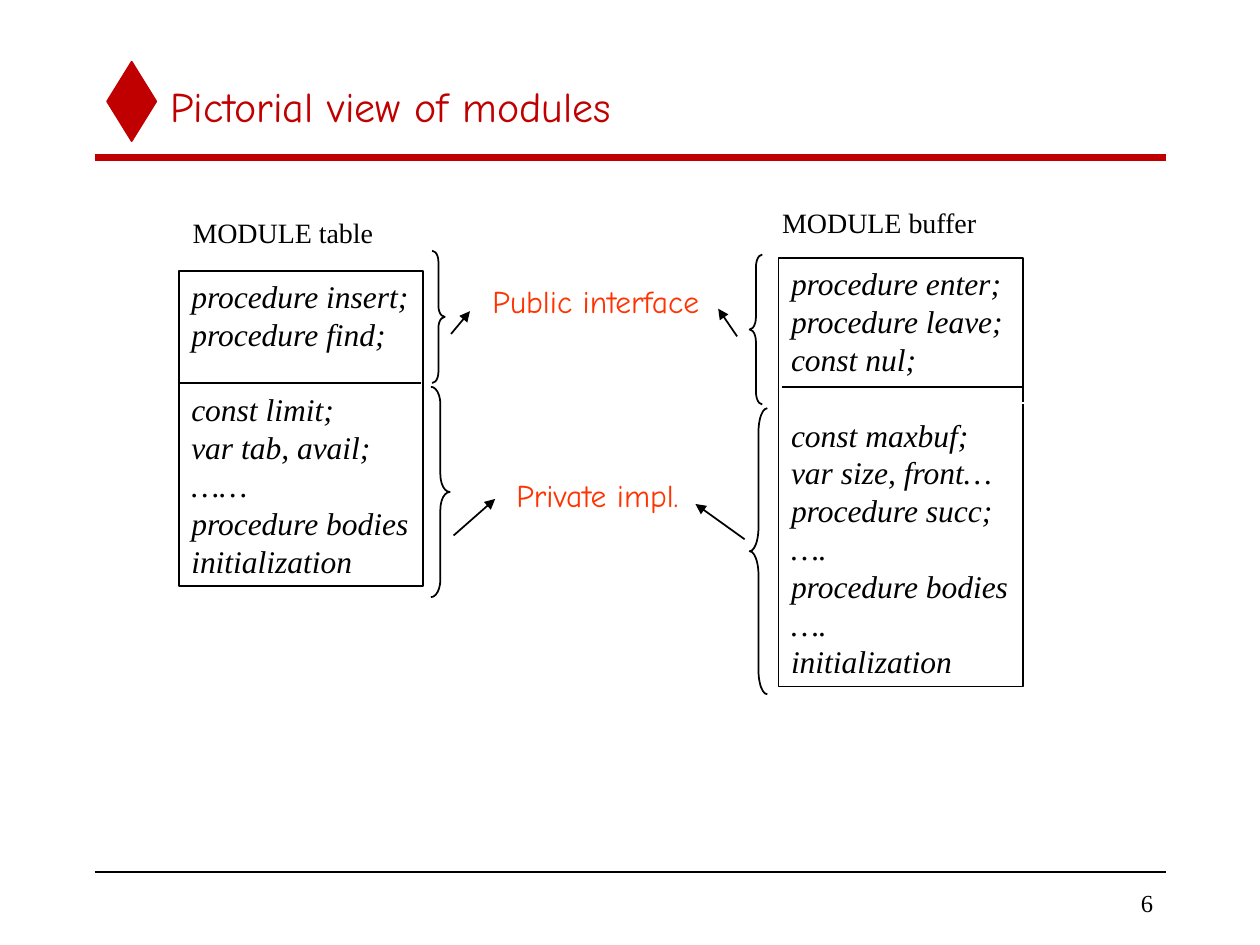
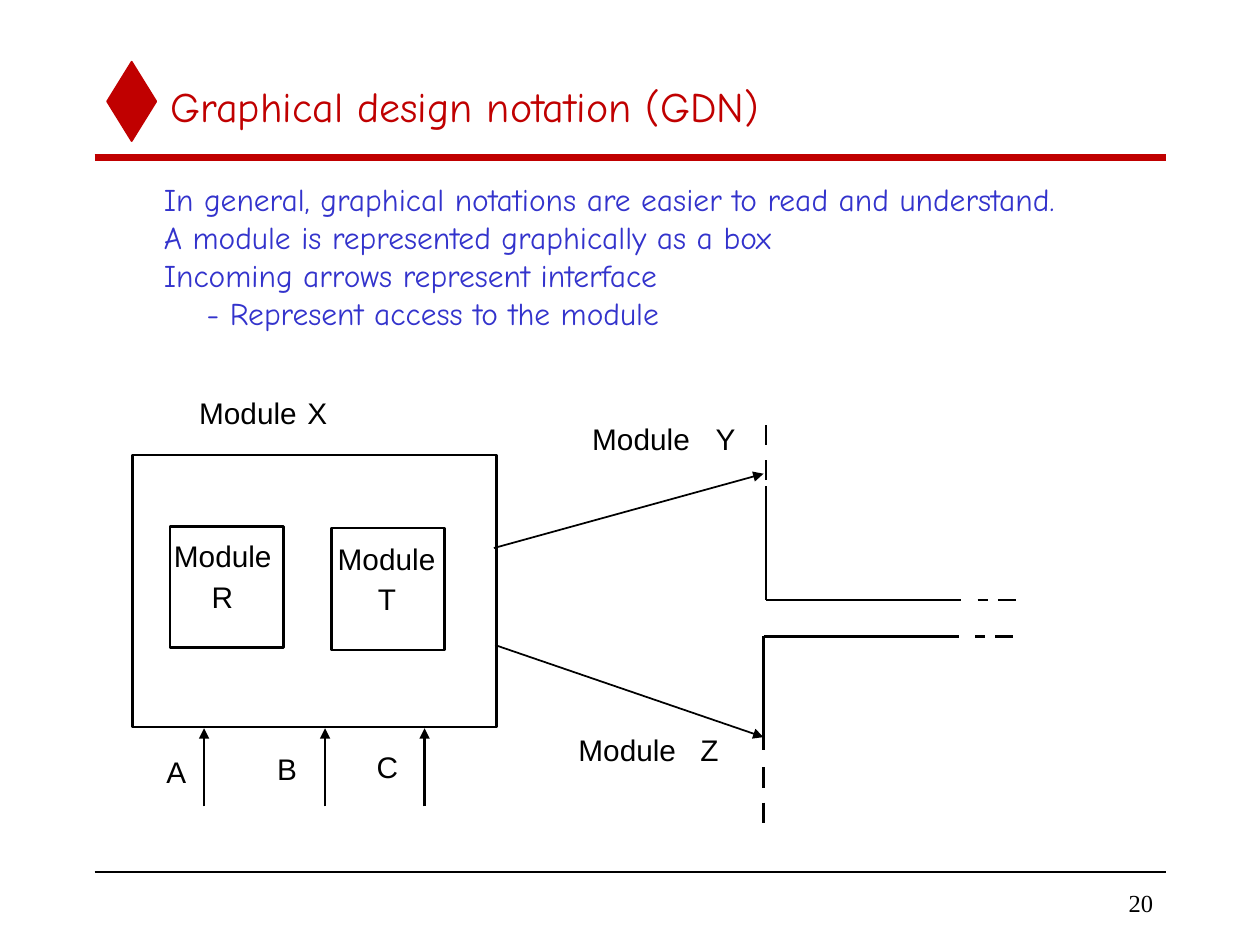
"""Build two slides on modules and their graphical design notation."""
from lxml import etree
from pptx import Presentation
from pptx.dml.color import RGBColor
from pptx.enum.shapes import MSO_CONNECTOR, MSO_SHAPE
from pptx.enum.text import MSO_ANCHOR, MSO_AUTO_SIZE, PP_ALIGN
from pptx.oxml.ns import qn
from pptx.util import Inches, Pt

RED = RGBColor(0xC0, 0x00, 0x00)
ORANGE = RGBColor(0xFF, 0x33, 0x00)
BLUE = RGBColor(0x33, 0x33, 0xCC)
BLACK = RGBColor(0x00, 0x00, 0x00)
WHITE = RGBColor(0xFF, 0xFF, 0xFF)
COMIC, TIMES, ARIAL = "Comic Neue", "Times New Roman", "Arial"
DIAMOND, RECT = MSO_SHAPE.DIAMOND, MSO_SHAPE.RECTANGLE
LEFT_BRACE, RIGHT_BRACE = MSO_SHAPE.LEFT_BRACE, MSO_SHAPE.RIGHT_BRACE
STRAIGHT = MSO_CONNECTOR.STRAIGHT
LEFT, RIGHT = PP_ALIGN.LEFT, PP_ALIGN.RIGHT
TOP, MIDDLE = MSO_ANCHOR.TOP, MSO_ANCHOR.MIDDLE
FIXED = MSO_AUTO_SIZE.NONE
BOLD_LINE = 1.39


def put(frame, text, size, face, color, pad=True, wrap=False, anchor=TOP):
    """Fill a text frame and format its paragraphs."""
    frame.text = text
    frame.auto_size = FIXED
    frame.word_wrap = wrap
    frame.vertical_anchor = anchor
    frame.margin_left = frame.margin_right = Inches(0.1 if pad else 0)
    frame.margin_top = frame.margin_bottom = Inches(0.05 if pad else 0)
    for para in frame.paragraphs:
        para.alignment = LEFT
        para.line_spacing = Pt(size * 1.2)
        para.space_before = Pt(0)
        for run in para.runs:
            run.font.size = Pt(size)
            run.font.name = face
            run.font.color.rgb = color


def rule(slide, start, end, width=1, color=BLACK, arrow=False):
    """Draw a straight line, with an arrowhead at its end if asked."""
    ends = [Inches(n) for n in (*start, *end)]
    line = slide.shapes.add_connector(STRAIGHT, *ends)
    line.line.width = Pt(width)
    line.line.color.rgb = color
    props = line.element.spPr
    if arrow:
        etree.SubElement(props.find(qn("a:ln")), qn("a:tailEnd"), type="triangle")
    etree.SubElement(props, qn("a:effectLst"))


deck = Presentation()
deck.slide_width, deck.slide_height = Inches(10), Inches(7.5)

slides = []
for title, page, layout in [
    ("Pictorial view of modules", "6", 5),
    ("Graphical design notation (GDN)", "20", 1),
]:
    slide = deck.slides.add_slide(deck.slide_layouts[layout])
    slides.append(slide)
    gem = slide.shapes.add_shape(
        DIAMOND, Inches(0.85), Inches(0.49), Inches(0.39), Inches(0.63))
    gem.shadow.inherit = False
    gem.fill.solid()
    gem.fill.fore_color.rgb = gem.line.color.rgb = RED
    gem.line.width = Pt(1)
    rule(slide, (0.75, 1.25), (9.25, 1.25), 4, RED)
    rule(slide, (0.75, 6.92), (9.25, 6.92))
    head = slide.shapes.title
    head.left, head.top = Inches(1.25), Inches(0.5)
    head.width, head.height = Inches(8), Inches(0.67)
    put(head.text_frame, title, 24, COMIC, RED, wrap=True, anchor=MIDDLE)
    foot = slide.shapes.add_textbox(
        Inches(7.83), Inches(7), Inches(1.42), Inches(0.33)).text_frame
    put(foot, page, 14, TIMES, BLACK, wrap=True, anchor=MIDDLE)
    foot.paragraphs[0].alignment = RIGHT

view, graph = slides

table = ["procedure insert;", "procedure find;", "const limit;",
         "var tab, avail;", "……", "procedure bodies", "initialization"]
buffer = ["procedure enter;", "procedure leave;", "const nul;",
          "const maxbuf;", "var size, front…", "procedure succ;", "….",
          "procedure bodies", "….", "initialization"]
for left, top, high, code, split in [
    (1.42, 2.15, 2.5, table, 2),
    (6.18, 2.05, 3.4, buffer, 3),
]:
    box = view.shapes.add_shape(
        RECT, Inches(left), Inches(top), Inches(1.94), Inches(high))
    box.shadow.inherit = False
    box.fill.background()
    box.line.color.rgb = BLACK
    box.line.width = Pt(1)
    put(box.text_frame, "\n".join(code), 18, TIMES, BLACK)
    for para in box.text_frame.paragraphs:
        para.runs[0].font.italic = True
    box.text_frame.paragraphs[split].space_before = Pt(21.6)

for text, left, top, wide, size, face, color in [
    ("MODULE table", 1.43, 1.66, 1.63, 16, TIMES, BLACK),
    ("MODULE buffer", 6.11, 1.58, 1.74, 16, TIMES, BLACK),
    ("Public interface", 3.81, 2.19, 1.85, 18, COMIC, ORANGE),
    ("Private impl.", 4, 3.73, 1.5, 18, COMIC, ORANGE),
]:
    label = view.shapes.add_textbox(
        Inches(left), Inches(top), Inches(wide), Inches(0.4))
    put(label.text_frame, text, size, face, color)

for kind, left, top, wide, high in [
    (RIGHT_BRACE, 3.43, 1.99, 0.1, 1.05),
    (RIGHT_BRACE, 3.42, 3.07, 0.15, 1.67),
    (LEFT_BRACE, 5.95, 2.02, 0.1, 1.19),
    (LEFT_BRACE, 5.95, 3.24, 0.14, 2.27),
]:
    brace = view.shapes.add_shape(
        kind, Inches(left), Inches(top), Inches(wide), Inches(high))
    brace.shadow.inherit = False
    brace.fill.background()
    brace.line.color.rgb = BLACK
    brace.line.width = Pt(1)
    brace.adjustments[0] = high / wide / 12

rule(view, (6.18, 3.2), (8.24, 3.2), color=WHITE)
rule(view, (1.43, 3.04), (3.34, 3.04))
rule(view, (6.21, 3.07), (8.12, 3.07))
for start, end in [
    ((3.58, 2.65), (3.73, 2.47)),
    ((5.85, 2.67), (5.7, 2.45)),
    ((3.6, 4.25), (3.93, 3.96)),
    ((5.91, 4.28), (5.52, 4)),
]:
    rule(view, start, end, arrow=True)

points = [
    "In general, graphical notations are easier to read and understand.",
    "A module is represented graphically as a box",
    "Incoming arrows represent interface",
    "- Represent access to the module",
]
body = graph.placeholders[1]
body.left, body.top = Inches(1.2), Inches(1.38)
body.width, body.height = Inches(7.6), Inches(1.3)
put(body.text_frame, "\n".join(points), 18, COMIC, BLUE, wrap=True)
for para in body.text_frame.paragraphs:
    props = para._p.get_or_add_pPr()
    inset = 0.34 if para.text.startswith("-") else 0
    props.set("marL", str(Inches(inset)))
    props.set("indent", "0")
    etree.SubElement(props, qn("a:buNone"))

for left, top, wide, high in [
    (1.05, 3.61, 2.89, 2.16),
    (1.35, 4.18, 0.9, 0.96),
    (2.63, 4.19, 0.9, 0.97),
]:
    box = graph.shapes.add_shape(
        RECT, Inches(left), Inches(top), Inches(wide), Inches(high))
    box.shadow.inherit = False
    box.fill.solid()
    box.fill.fore_color.rgb = WHITE
    box.line.color.rgb = BLACK
    box.line.width = Pt(BOLD_LINE)

for x, y, way, gap in [(6.08, 4.76, -1, 0.95), (6.06, 5.05, 1, 1.04)]:
    for near, far in [(0, 0.9), (gap, gap + 0.16), (gap + 0.28, gap + 0.44)]:
        rule(graph, (x, y + way * near), (x, y + way * far), BOLD_LINE)
    for near, far in [(0, 1.55), (1.68, 1.76), (1.84, 1.98)]:
        rule(graph, (x + near, y), (x + far, y), BOLD_LINE)

for x in (1.62, 2.58, 3.37):
    rule(graph, (x, 6.4), (x, 5.78), BOLD_LINE, arrow=True)
rule(graph, (3.92, 4.35), (6.06, 3.76), arrow=True)
rule(graph, (3.93, 5.12), (6.06, 5.85), arrow=True)

names = [("X", 2.44, 3.13), ("Y", 5.68, 3.34), ("Z", 5.56, 5.81),
         ("R", 1.68, 4.59), ("T", 3, 4.61),
         ("A", 1.32, 5.98), ("B", 2.2, 5.96), ("C", 2.99, 5.94)]
spots = [(1.58, 3.13), (4.7, 3.34), (4.59, 5.81), (1.38, 4.27), (2.68, 4.29)]
for text, left, top in names + [("Module", *spot) for spot in spots]:
    wide = 0.78 if text == "Module" else 0.16
    label = graph.shapes.add_textbox(
        Inches(left), Inches(top), Inches(wide), Inches(0.28))
    put(label.text_frame, text, 17, ARIAL, BLACK, pad=False)

deck.save("out.pptx")
